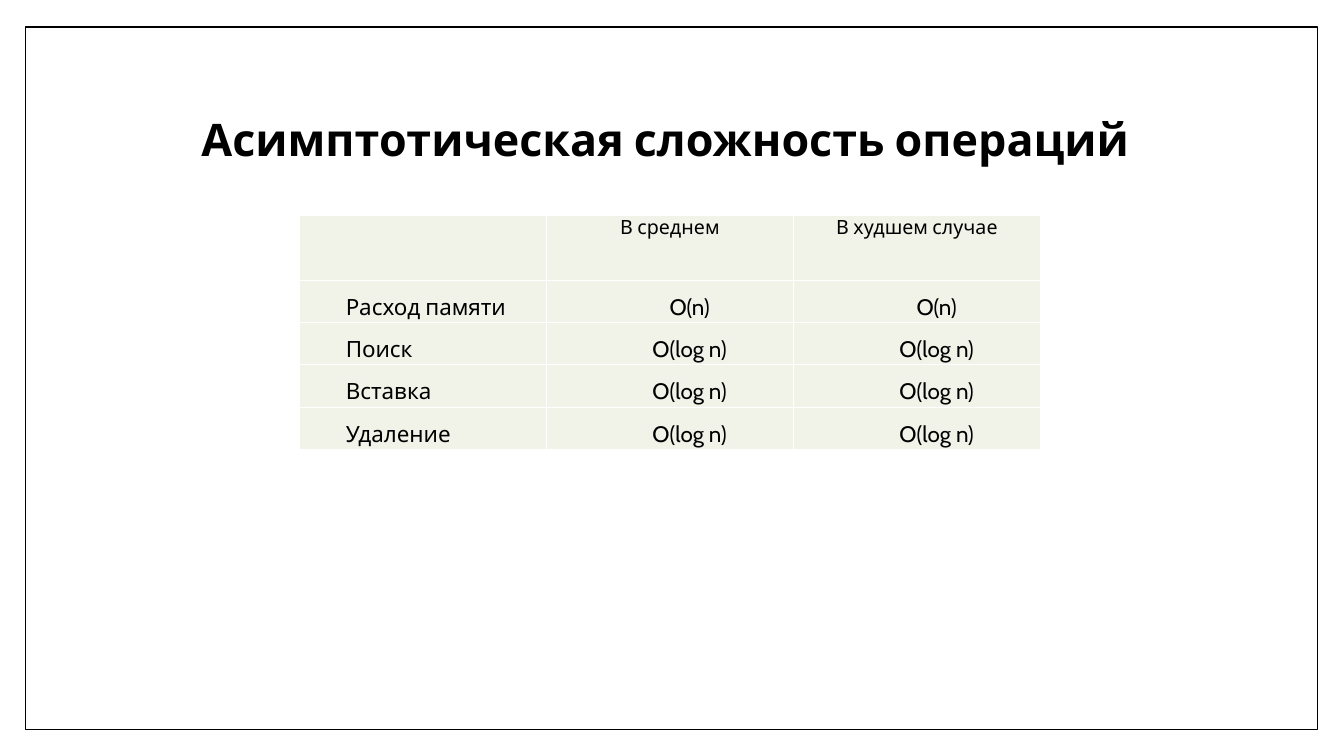
from dataclasses import dataclass

from lxml.etree import SubElement
from pptx import Presentation
from pptx.dml.color import RGBColor
from pptx.enum.shapes import MSO_SHAPE
from pptx.enum.text import MSO_ANCHOR, PP_ALIGN
from pptx.oxml.ns import qn
from pptx.slide import Slide
from pptx.table import _Cell
from pptx.util import Emu, Pt

EMU_PER_PX = 9144  # 100 px to the inch
FONT = "Cabin"
BLACK = RGBColor(0x00, 0x00, 0x00)
WHITE = RGBColor(0xFF, 0xFF, 0xFF)
CELL_FILL = RGBColor(0xF1, 0xF3, 0xE8)
COLUMN_WIDTH = 245
HEADER_HEIGHT = 64
ROW_HEIGHT = 42
FIRST_LINE_INDENT = 39


@dataclass(frozen=True)
class Operation:
    name: str
    average: str
    worst: str


HEADER = ("", "В среднем", "В худшем случае")
OPERATIONS = (
    Operation("Расход памяти", "O(n)", "O(n)"),
    Operation("Поиск", "O(log n)", "O(log n)"),
    Operation("Вставка", "O(log n)", "O(log n)"),
    Operation("Удаление", "O(log n)", "O(log n)"),
)


def px(length: int) -> Emu:
    return Emu(length * EMU_PER_PX)


def style_text(paragraph, size: int, align: PP_ALIGN, spacing: float, bold: bool = False) -> None:
    paragraph.alignment = align
    paragraph.line_spacing = spacing
    for span in paragraph.runs:
        span.font.name = FONT
        span.font.size = Pt(size)
        span.font.bold = bold
        span.font.color.rgb = BLACK


def add_frame(page: Slide) -> None:
    frame = page.shapes.add_shape(MSO_SHAPE.RECTANGLE, px(25), px(27), px(1282), px(697))
    frame.shadow.inherit = False
    frame.fill.solid()
    frame.fill.fore_color.rgb = WHITE
    frame.line.color.rgb = BLACK
    frame.line.width = Pt(1)


def add_title(page: Slide, text: str) -> None:
    box = page.shapes.add_textbox(px(125), px(67), px(1080), px(148))
    box.text_frame.word_wrap = True
    box.text_frame.vertical_anchor = MSO_ANCHOR.MIDDLE
    box.text_frame.text = text
    style_text(box.text_frame.paragraphs[0], 32, PP_ALIGN.CENTER, 0.9, bold=True)


def style_cell(cell: _Cell) -> None:
    cell.margin_left = cell.margin_right = px(7)
    cell.margin_top = cell.margin_bottom = 0
    # Borders come before the fill in the cell properties
    properties = cell._tc.get_or_add_tcPr()
    for side in ("a:lnL", "a:lnR", "a:lnT", "a:lnB"):
        border = SubElement(properties, qn(side), w=str(Pt(1)))
        fill = SubElement(border, qn("a:solidFill"))
        SubElement(fill, qn("a:srgbClr"), val=str(WHITE))
    cell.fill.solid()
    cell.fill.fore_color.rgb = CELL_FILL


def add_complexity_table(page: Slide) -> None:
    rows = [HEADER] + [(item.name, item.average, item.worst) for item in OPERATIONS]
    height = HEADER_HEIGHT + ROW_HEIGHT * len(OPERATIONS)
    table = page.shapes.add_table(
        len(rows), len(HEADER), px(297), px(214), px(COLUMN_WIDTH * len(HEADER)), px(height)
    ).table
    table.first_row = False
    table.horz_banding = False
    for column in table.columns:
        column.width = px(COLUMN_WIDTH)

    for row_index, texts in enumerate(rows):
        is_header = row_index == 0
        table.rows[row_index].height = px(HEADER_HEIGHT if is_header else ROW_HEIGHT)
        for column_index, text in enumerate(texts):
            cell = table.cell(row_index, column_index)
            style_cell(cell)
            if not text:
                continue
            cell.text_frame.text = text
            paragraph = cell.text_frame.paragraphs[0]
            if is_header:
                style_text(paragraph, 14, PP_ALIGN.CENTER, 1.0)
            else:
                align = PP_ALIGN.CENTER if column_index else PP_ALIGN.JUSTIFY
                style_text(paragraph, 16, align, 1.5)
                paragraph._p.get_or_add_pPr().set("indent", str(px(FIRST_LINE_INDENT)))


def main() -> None:
    deck = Presentation()
    deck.slide_width, deck.slide_height = px(1333), px(750)
    page = deck.slides.add_slide(deck.slide_layouts[6])
    add_frame(page)
    # The closing space shifts the centred title slightly to the left
    add_title(page, "Асимптотическая сложность операций ")
    add_complexity_table(page)
    deck.save("out.pptx")


if __name__ == "__main__":
    main()
